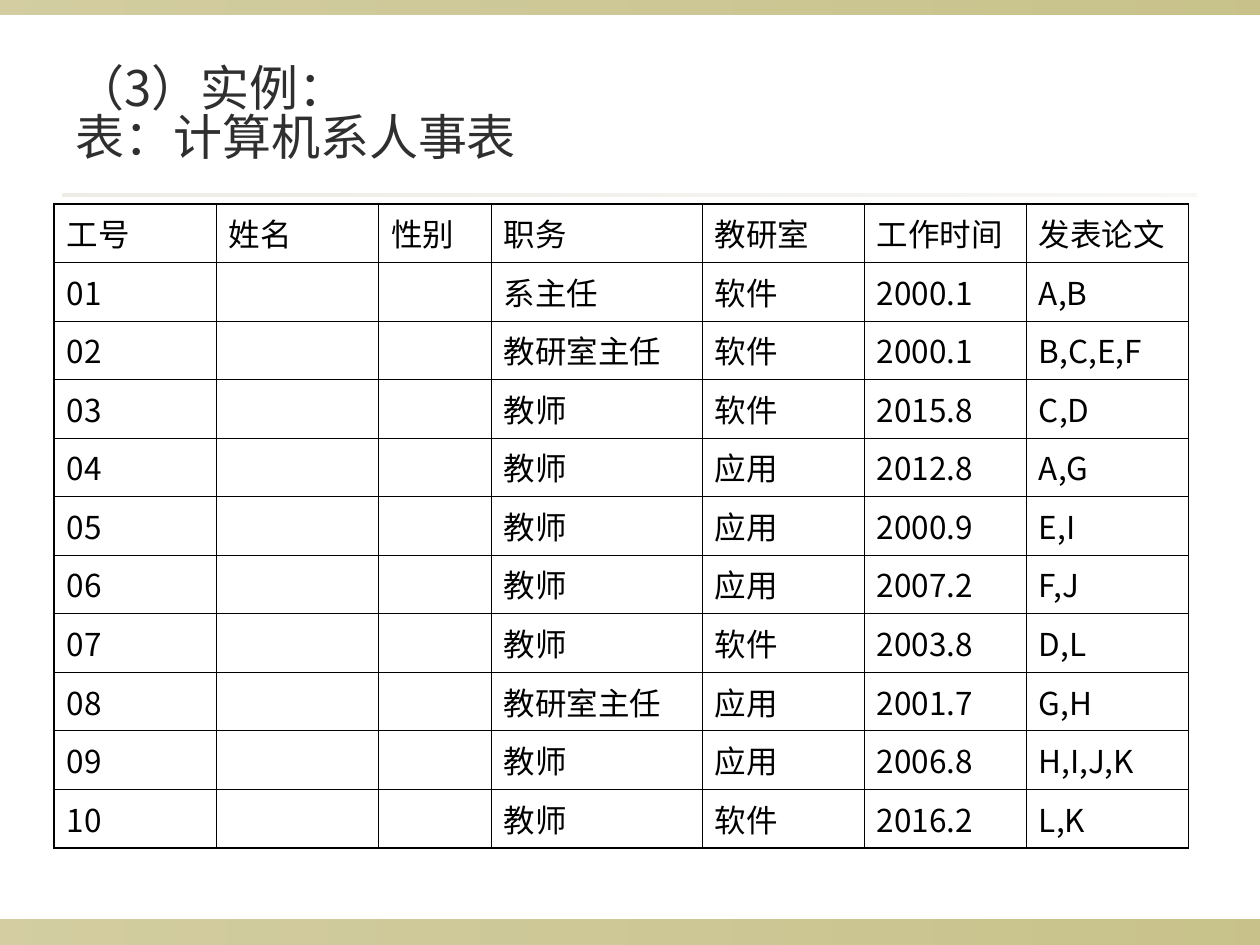
from copy import deepcopy
from dataclasses import dataclass

from lxml.etree import SubElement
from pptx import Presentation
from pptx.dml.color import RGBColor as RGB
from pptx.enum.shapes import MSO_SHAPE as Shape
from pptx.enum.text import MSO_ANCHOR as Anchor, MSO_AUTO_SIZE as AutoSize, PP_ALIGN as Align
from pptx.oxml.ns import qn
from pptx.util import Cm, Pt


@dataclass(frozen=True)
class Theme:
    """Colours, font, type sizes and line widths of the slide."""
    font: str = "Noto Sans CJK SC"
    title_color: str = "2F2F2F"
    text_color: str = "000000"
    band_color: str = "918415"
    rule_color: str = "DCD9CC"
    title_size: float = 28
    table_size: float = 18
    inner_line: float = 0.45
    outer_line: float = 1.08


TITLE = "（3）实例：\v表：计算机系人事表"
HEADER = ["工号", "姓名", "性别", "职务", "教研室", "工作时间", "发表论文"]
STAFF = [
    ["01", "", "", "系主任", "软件", "2000.1", "A,B"],
    ["02", "", "", "教研室主任", "软件", "2000.1", "B,C,E,F"],
    ["03", "", "", "教师", "软件", "2015.8", "C,D"],
    ["04", "", "", "教师", "应用", "2012.8", "A,G"],
    ["05", "", "", "教师", "应用", "2000.9", "E,I"],
    ["06", "", "", "教师", "应用", "2007.2", "F,J"],
    ["07", "", "", "教师", "软件", "2003.8", "D,L"],
    ["08", "", "", "教研室主任", "应用", "2001.7", "G,H"],
    ["09", "", "", "教师", "应用", "2006.8", "H,I,J,K"],
    ["10", "", "", "教师", "软件", "2016.2", "L,K"],
]
COLUMN_WIDTHS = [3.27, 3.27, 2.27, 4.25, 3.27, 3.27, 3.27]
ROW_HEIGHT = 1.18


def apply(target, formats):
    """Set each named attribute on the target."""
    for name, value in formats.items():
        setattr(target, name, value)


class SlideBuilder:
    """Adds styled elements to the current slide."""

    def __init__(self, slide, theme):
        self.slide = slide
        self.theme = theme

    def format_text(self, paragraph, size, color):
        """Style every run and line break of a paragraph."""
        for run in paragraph.runs:
            run.font.color.rgb = RGB.from_string(color)
            apply(run.font, {"size": Pt(size), "name": self.theme.font})
            properties = run._r.get_or_add_rPr()
            SubElement(properties, qn("a:ea"), typeface=self.theme.font)
            for line_break in paragraph._p.findall(qn("a:br")):
                if not len(line_break):
                    line_break.append(deepcopy(properties))

    def band(self, left, top, width, height, color, opacities):
        """Add a rectangle with a horizontal gradient of opacity."""
        box = [Cm(length) for length in (left, top, width, height)]
        shape = self.slide.shapes.add_shape(Shape.RECTANGLE, *box)
        shape.shadow.inherit = False
        shape.line.fill.background()
        shape.fill.gradient()
        shape.fill.gradient_angle = 0
        for stop in shape.fill.gradient_stops:
            stop.color.rgb = RGB.from_string(color)
        for tone, opacity in zip(shape.element.iter(qn("a:srgbClr")), opacities):
            SubElement(tone, qn("a:alpha"), val=str(opacity * 1000))

    def title(self, text, left, top, width, height):
        """Fill and place the title placeholder."""
        shape = self.slide.shapes.title
        apply(shape, {"left": Cm(left), "top": Cm(top), "width": Cm(width), "height": Cm(height)})
        frame = shape.text_frame
        frame.text = text
        apply(frame, {"vertical_anchor": Anchor.MIDDLE, "auto_size": AutoSize.NONE, "word_wrap": True})
        paragraph = frame.paragraphs[0]
        apply(paragraph, {"alignment": Align.LEFT, "line_spacing": 0.83})
        self.format_text(paragraph, self.theme.title_size, self.theme.title_color)

    def border(self, cell, side, width):
        """Draw one edge of a cell."""
        line = SubElement(cell._tc.get_or_add_tcPr(), qn(f"a:ln{side}"), w=str(Pt(width)))
        fill = SubElement(line, qn("a:solidFill"))
        SubElement(fill, qn("a:srgbClr"), val=self.theme.text_color)

    def table(self, rows, left, top, column_widths, row_height):
        """Add a plain grid with a heavier outer frame."""
        last_row, last_column = len(rows) - 1, len(column_widths) - 1
        size = Cm(sum(column_widths)), Cm(row_height * len(rows))
        table = self.slide.shapes.add_table(
            len(rows), len(column_widths), Cm(left), Cm(top), *size).table
        apply(table, {"first_row": False, "horz_banding": False})
        for column, width in zip(table.columns, column_widths):
            column.width = Cm(width)
        for y, values in enumerate(rows):
            table.rows[y].height = Cm(row_height)
            for x, value in enumerate(values):
                cell = table.cell(y, x)
                outer = {"L": x == 0, "R": x == last_column, "T": y == 0, "B": y == last_row}
                for side, is_outer in outer.items():
                    self.border(cell, side, self.theme.outer_line if is_outer else self.theme.inner_line)
                cell.fill.background()
                if value:
                    cell.text = value
                    paragraph = cell.text_frame.paragraphs[0]
                    paragraph.space_before = Pt(4.5)
                    self.format_text(paragraph, self.theme.table_size, self.theme.text_color)


def main():
    """Build and save the staff table slide."""
    presentation = Presentation()
    apply(presentation, {"slide_width": Cm(25.4), "slide_height": Cm(19.05)})
    theme = Theme()
    builder = SlideBuilder(presentation.slides.add_slide(presentation.slide_layouts[5]), theme)
    builder.band(0, 18.54, 25.4, 0.51, theme.band_color, (40, 50))
    builder.band(0, 0, 25.4, 0.3, theme.band_color, (40, 50))
    builder.band(1.27, 3.91, 22.86, 0.05, theme.rule_color, (50, 20))
    builder.title(TITLE, 1.27, 0.76, 22.86, 3.18)
    builder.table([HEADER, *STAFF], 1.09, 4.11, COLUMN_WIDTHS, ROW_HEIGHT)
    presentation.save("out.pptx")


if __name__ == "__main__":
    main()
